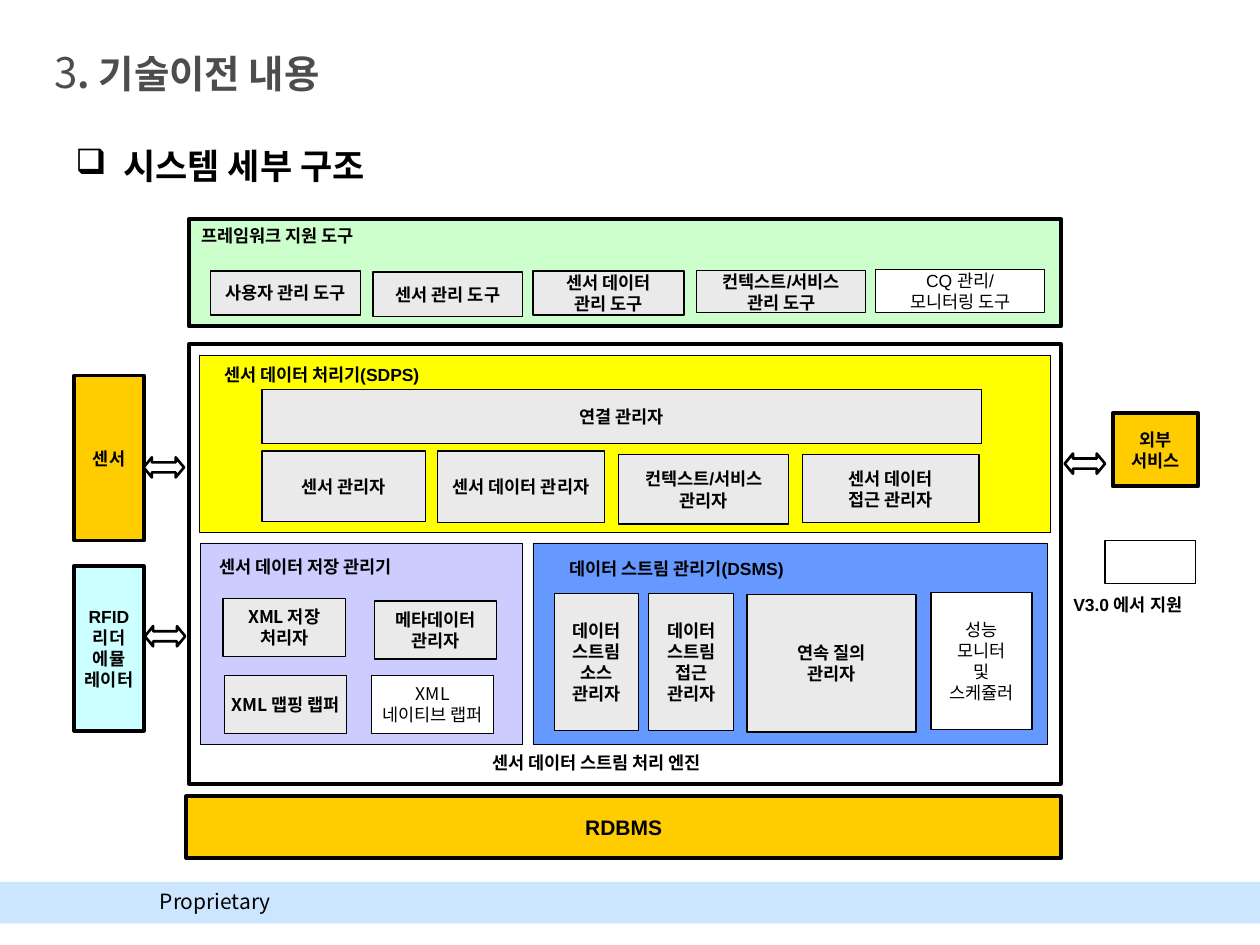
from lxml import etree
from pptx import Presentation
from pptx.dml.color import RGBColor
from pptx.enum.shapes import MSO_SHAPE
from pptx.enum.text import MSO_ANCHOR, PP_ALIGN
from pptx.oxml.ns import qn
from pptx.util import Inches, Pt

RECTANGLE, DOUBLE_ARROW = MSO_SHAPE.RECTANGLE, MSO_SHAPE.LEFT_RIGHT_ARROW
TOP, MIDDLE = MSO_ANCHOR.TOP, MSO_ANCHOR.MIDDLE
LEFT, CENTER = PP_ALIGN.LEFT, PP_ALIGN.CENTER

BLACK = RGBColor(0x00, 0x00, 0x00)
WHITE = RGBColor(0xFF, 0xFF, 0xFF)
DARK_GRAY = RGBColor(0x4D, 0x4D, 0x4D)
LIGHT_GRAY = RGBColor(0xEA, 0xEA, 0xEA)
PALE_BLUE = RGBColor(0xCD, 0xE6, 0xFF)
LILAC = RGBColor(0xCC, 0xCC, 0xFF)
BLUE = RGBColor(0x66, 0x99, 0xFF)
YELLOW = RGBColor(0xFF, 0xFF, 0x00)
AMBER = RGBColor(0xFF, 0xCC, 0x00)
CYAN = RGBColor(0xCC, 0xFF, 0xFF)
GREEN = RGBColor(0xCC, 0xFF, 0xCC)

ARIAL, KOREAN = "Arial", "Noto Sans CJK KR"
FRAME, THIN, OUTLINE, ARROW = 2.25, 0.5, 0.75, 1.5


def add_span(para, text, size=10, bold=True, font=ARIAL, color=BLACK):
    """Add one formatted run to a paragraph."""
    span = para.add_run()
    span.text = text
    span.font.size = Pt(size)
    span.font.bold = bold
    span.font.name = font
    span.font.color.rgb = color
    east_asian = etree.SubElement(span.font._element, qn("a:ea"))
    east_asian.set("typeface", KOREAN)


def write_lines(frame, text, align=CENTER, anchor=MIDDLE, wrap=False, **style):
    """Write each line of the text as a paragraph of the frame."""
    frame.word_wrap = wrap
    frame.vertical_anchor = anchor
    for index, line in enumerate(text.split("\n")):
        para = frame.add_paragraph() if index else frame.paragraphs[0]
        para.alignment = align
        add_span(para, line, **style)


def add_block(page, box, fill, width=OUTLINE, kind=RECTANGLE):
    """Add an outlined shape, with no fill or no line where None is given."""
    block = page.shapes.add_shape(kind, *map(Inches, box))
    block.shadow.inherit = False
    if fill is None:
        block.fill.background()
    else:
        block.fill.solid()
        block.fill.fore_color.rgb = fill
    if width is None:
        block.line.fill.background()
    else:
        block.line.color.rgb = BLACK
        block.line.width = Pt(width)
    return block


def add_label(page, box, text, anchor=MIDDLE, **style):
    """Add a left-aligned text box."""
    label = page.shapes.add_textbox(*map(Inches, box))
    write_lines(label.text_frame, text, LEFT, anchor, True, **style)
    return label


def add_modules(page, box, modules, font=ARIAL):
    """Add gray module boxes, or white ones for planned modules, inside a box."""
    left, top = box[:2]
    for x, y, width, height, text, planned in modules:
        place = (left + x, top + y, width, height)
        block = add_block(page, place, WHITE if planned else LIGHT_GRAY)
        write_lines(block.text_frame, text, bold=not planned, font=font)


def add_footer(page, box):
    """Add the footer band and its notice."""
    left, top = box[:2]
    add_block(page, box, PALE_BLUE, None)
    add_label(page, (left + 1.17, top, 1.33, 0.3), "Proprietary", TOP,
              size=12, bold=False, font=KOREAN)


def add_title(page, box):
    """Place and write the slide title."""
    title = page.shapes.title
    title.left, title.top, title.width, title.height = map(Inches, box)
    title.text_frame.vertical_anchor = MIDDLE
    para = title.text_frame.paragraphs[0]
    para.alignment = LEFT
    add_span(para, "3", 24, False, KOREAN, DARK_GRAY)
    add_span(para, ". 기술이전 내용", 22, True, KOREAN, DARK_GRAY)


def add_heading(page, box):
    """Add the bulleted heading above the diagram."""
    label = add_label(page, box, "시스템 세부 구조", TOP, size=20, font=KOREAN)
    properties = label.text_frame.paragraphs[0]._p.get_or_add_pPr()
    properties.set("marL", str(Inches(0.38)))
    properties.set("indent", str(-Inches(0.38)))
    etree.SubElement(properties, qn("a:buChar")).set("char", "❑")


def add_tools(page, box):
    """Add the framework support tools panel."""
    panel = add_block(page, box, GREEN, FRAME)
    write_lines(panel.text_frame, "프레임워크 지원 도구", LEFT, TOP, True)
    add_modules(page, box, [
        (0.17, 0.41, 1.19, 0.35, "사용자 관리 도구", False),
        (1.46, 0.42, 1.19, 0.35, "센서 관리 도구", False),
        (2.73, 0.41, 1.2, 0.35, "센서 데이터\n관리 도구", False),
        (4.03, 0.41, 1.34, 0.33, "컨텍스트/서비스\n관리 도구", False),
        (5.45, 0.4, 1.34, 0.34, "CQ 관리/\n모니터링 도구", True),
    ])


def add_processor(page, box):
    """Add the sensor data processor panel."""
    left, top = box[:2]
    add_block(page, box, YELLOW, THIN)
    add_label(page, (left + 0.1, top + 0.04, 2.2, 0.23), "센서 데이터 처리기(SDPS)")
    add_modules(page, box, [
        (0.5, 0.27, 5.71, 0.43, "연결 관리자", False),
        (0.5, 0.76, 1.3, 0.56, "센서 관리자", False),
        (1.89, 0.76, 1.33, 0.57, "센서 데이터 관리자", False),
        (3.33, 0.79, 1.35, 0.55, "컨텍스트/서비스\n관리자", False),
        (4.79, 0.79, 1.4, 0.54, "센서 데이터\n접근 관리자", False),
    ])


def add_storage(page, box):
    """Add the sensor data storage manager panel."""
    left, top = box[:2]
    add_block(page, box, LILAC, THIN)
    add_label(page, (left + 0.05, top + 0.09, 1.8, 0.2), "센서 데이터 저장 관리기")
    add_modules(page, box, [
        (0.18, 0.44, 0.97, 0.46, "XML 저장\n처리자", False),
        (1.38, 0.46, 0.97, 0.46, "메타데이터\n관리자", False),
        (0.19, 1.05, 0.97, 0.46, "XML 맵핑 랩퍼", False),
        (1.36, 1.05, 0.97, 0.46, "XML\n네이티브 랩퍼", True),
    ], KOREAN)


def add_streams(page, box):
    """Add the data stream manager panel."""
    left, top = box[:2]
    add_block(page, box, BLUE, THIN)
    add_label(page, (left + 0.19, top + 0.07, 2.52, 0.26), "데이터 스트림 관리기(DSMS)")
    add_modules(page, box, [
        (0.17, 0.4, 0.67, 1.09, "데이터\n스트림\n소스\n관리자", False),
        (0.92, 0.4, 0.67, 1.09, "데이터\n스트림\n접근\n관리자", False),
        (1.7, 0.41, 1.34, 1.09, "연속 질의\n관리자", False),
        (3.16, 0.39, 0.8, 1.09, "성능\n모니터\n및\n스케쥴러", True),
    ])


def add_engine(page, box):
    """Add the stream processing engine with its three panels."""
    left, top = box[:2]
    add_block(page, box, None, FRAME)
    add_processor(page, (left + 0.08, top + 0.09, 6.76, 1.41))
    add_storage(page, (left + 0.09, top + 1.58, 2.56, 1.6))
    add_streams(page, (left + 2.73, top + 1.58, 4.08, 1.6))
    add_label(page, (left + 2.31, top + 3.19, 2.4, 0.27), "센서 데이터 스트림 처리 엔진")


def add_outer_box(page, box, text, fill, size=10):
    """Add a heavily framed component outside the engine."""
    block = add_block(page, box, fill, FRAME)
    write_lines(block.text_frame, text, size=size)


def add_exchange(page, left, top):
    """Add a two-way arrow between the engine and an outer component."""
    arrow = add_block(page, (left, top, 0.32, 0.16), WHITE, ARROW, DOUBLE_ARROW)
    arrow.adjustments[1] = 0.41


def add_legend(page, box):
    """Add the key for the white module boxes."""
    left, top = box[:2]
    add_block(page, (left + 0.35, top, 0.72, 0.34), WHITE)
    add_label(page, (left, top + 0.37, 1.4, 0.27), "V3.0 에서 지원")


def main():
    """Build the slide and save it."""
    deck = Presentation()
    deck.slide_width, deck.slide_height = Inches(10), Inches(7.5)
    page = deck.slides.add_slide(deck.slide_layouts[5])
    add_footer(page, (0, 7, 10, 0.33))
    add_title(page, (0.33, 0.28, 7.83, 0.57))
    add_heading(page, (0.5, 1.1, 8.92, 0.5))
    add_tools(page, (1.5, 1.74, 6.92, 0.85))
    add_engine(page, (1.5, 2.73, 6.92, 3.49))
    add_outer_box(page, (1.48, 6.32, 6.94, 0.49), "RDBMS", AMBER, 12)
    add_outer_box(page, (0.59, 2.98, 0.55, 1.31), "센서", AMBER)
    add_outer_box(page, (0.59, 4.49, 0.55, 1.31), "RFID\n리더\n에뮬\n레이터", CYAN)
    add_outer_box(page, (8.83, 3.28, 0.68, 0.58), "외부\n서비스", AMBER)
    for left, top in [(1.14, 3.63), (1.15, 4.97), (8.45, 3.6)]:
        add_exchange(page, left, top)
    add_legend(page, (8.42, 4.29, 1.4, 0.64))
    deck.save("out.pptx")


if __name__ == "__main__":
    main()
